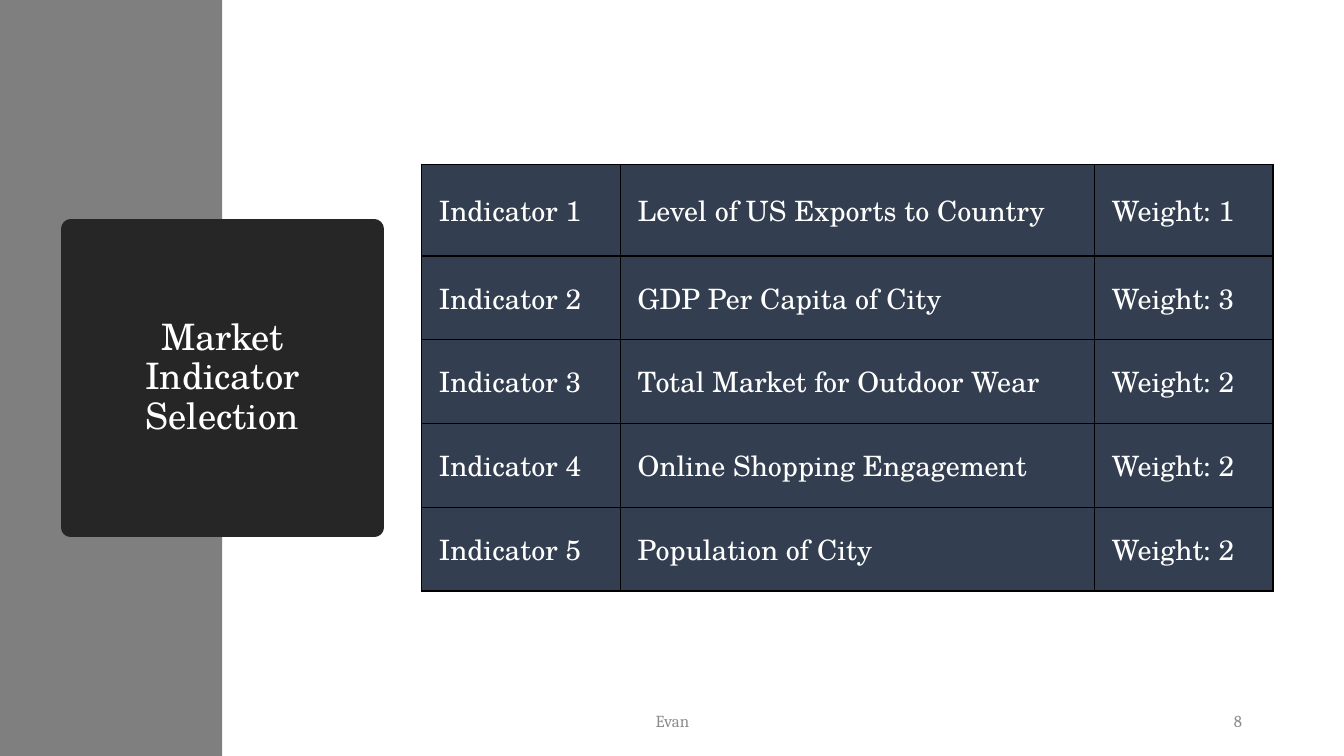
from lxml import etree
from pptx import Presentation
from pptx.dml.color import RGBColor
from pptx.enum.text import MSO_ANCHOR, MSO_AUTO_SIZE, PP_ALIGN
from pptx.enum.shapes import MSO_SHAPE
from pptx.oxml import parse_xml
from pptx.oxml.ns import nsdecls, qn
from pptx.util import Cm, Pt

CENTER, LEFT, RIGHT = PP_ALIGN.CENTER, PP_ALIGN.LEFT, PP_ALIGN.RIGHT
MIDDLE = MSO_ANCHOR.MIDDLE
NO_FIT = MSO_AUTO_SIZE.NONE
RECTANGLE = MSO_SHAPE.RECTANGLE
TITLE_ONLY = 5


def rgb(value):
    """Turn a hex string into a colour."""
    return RGBColor.from_string(value)


class Deck:
    """Style and current slide, with a method for each kind of element."""

    serif, small = "TeX Gyre Schola", "Cambria"
    white, gray, muted = "FFFFFF", "7F7F7F", "8C8C8C"
    dark, navy, black = "262626", "333F50", "000000"

    def __init__(self):
        """Open a widescreen deck with one title-only slide."""
        self.prs = Presentation()
        self.prs.slide_width, self.prs.slide_height = Cm(33.87), Cm(19.05)
        self.s = self.prs.slides.add_slide(self.prs.slide_layouts[TITLE_ONLY])

    def add_runs(self, p, text, size, font, color, align=LEFT):
        """Fill a paragraph, with a line break for each newline."""
        p.alignment = align
        for i, line in enumerate(text.split("\n")):
            if i:
                p.add_line_break()
            r = p.add_run()
            r.text = line
            r.font.size, r.font.name = Pt(size), font
            r.font.color.rgb = rgb(color)

    def band(self, x, y, w, h):
        """Add the side band behind the title."""
        sp = self.s.shapes.add_shape(RECTANGLE, Cm(x), Cm(y), Cm(w), Cm(h))
        sp.shadow.inherit = False
        sp.fill.solid()
        sp.fill.fore_color.rgb = rgb(self.gray)
        sp.line.fill.background()
        self.s.shapes.title.element.addprevious(sp.element)

    def title(self, text, x, y, w, h):
        """Place the title as a dark block with a thick outline."""
        sp = self.s.shapes.title
        sp.left, sp.top, sp.width, sp.height = Cm(x), Cm(y), Cm(w), Cm(h)
        sp.fill.solid()
        sp.fill.fore_color.rgb = rgb(self.dark)
        sp.line.color.rgb = rgb(self.dark)
        sp.line.width = Pt(13.75)
        tf = sp.text_frame
        tf.auto_size, tf.word_wrap, tf.vertical_anchor = NO_FIT, True, MIDDLE
        p = tf.paragraphs[0]
        p.line_spacing = 0.9
        self.add_runs(p, text, 26, self.serif, self.white, CENTER)

    def text(self, text, x, y, w, h, align):
        """Add a small footer text."""
        tf = self.s.shapes.add_textbox(Cm(x), Cm(y), Cm(w), Cm(h)).text_frame
        tf.word_wrap, tf.vertical_anchor = True, MIDDLE
        self.add_runs(tf.paragraphs[0], text, 12, self.small, self.muted, align)

    def border(self, cell):
        """Draw a thin line on every side of a cell."""
        tc_pr = cell._tc.get_or_add_tcPr()
        for side in ("lnL", "lnR", "lnT", "lnB"):
            ln = parse_xml(f'<a:{side} {nsdecls("a")} w="{Pt(1)}"/>')
            fill = etree.SubElement(ln, qn("a:solidFill"))
            etree.SubElement(fill, qn("a:srgbClr"), val=self.black)
            tc_pr.append(ln)

    def table(self, rows, x, y, widths, heights):
        """Add a table of uniformly styled cells."""
        frame = self.s.shapes.add_table(len(rows), len(widths), Cm(x), Cm(y),
                                        Cm(sum(widths)), Cm(sum(heights)))
        table = frame.table
        table.first_row = table.horz_banding = False
        for column, width in zip(table.columns, widths):
            column.width = Cm(width)
        for row, height, values in zip(table.rows, heights, rows):
            row.height = Cm(height)
            for cell, value in zip(row.cells, values):
                self.border(cell)
                cell.fill.solid()
                cell.fill.fore_color.rgb = rgb(self.navy)
                cell.vertical_anchor = MIDDLE
                cell.margin_left = cell.margin_right = Cm(0.44)
                cell.margin_top = cell.margin_bottom = Cm(0.22)
                self.add_runs(cell.text_frame.paragraphs[0], value, 20,
                              self.serif, self.white)


def main():
    """Build the market indicator slide."""
    indicators = [
        ("Level of US Exports to Country", 1),
        ("GDP Per Capita of City", 3),
        ("Total Market for Outdoor Wear", 2),
        ("Online Shopping Engagement", 2),
        ("Population of City", 2),
    ]
    rows = [(f"Indicator {n}", name, f"Weight: {weight}")
            for n, (name, weight) in enumerate(indicators, 1)]
    deck = Deck()
    deck.band(0, 0, 5.6, 19.05)
    deck.title("Market\nIndicator\nSelection", 1.78, 5.77, 7.65, 7.52)
    deck.table(rows, 10.62, 4.14, [5.01, 11.95, 4.5], [2.31] + [2.11] * 4)
    deck.text("8", 23.93, 17.65, 7.62, 1.02, RIGHT)
    deck.text("Evan", 11.23, 17.65, 11.43, 1.02, CENTER)
    deck.prs.save("out.pptx")


if __name__ == "__main__":
    main()
